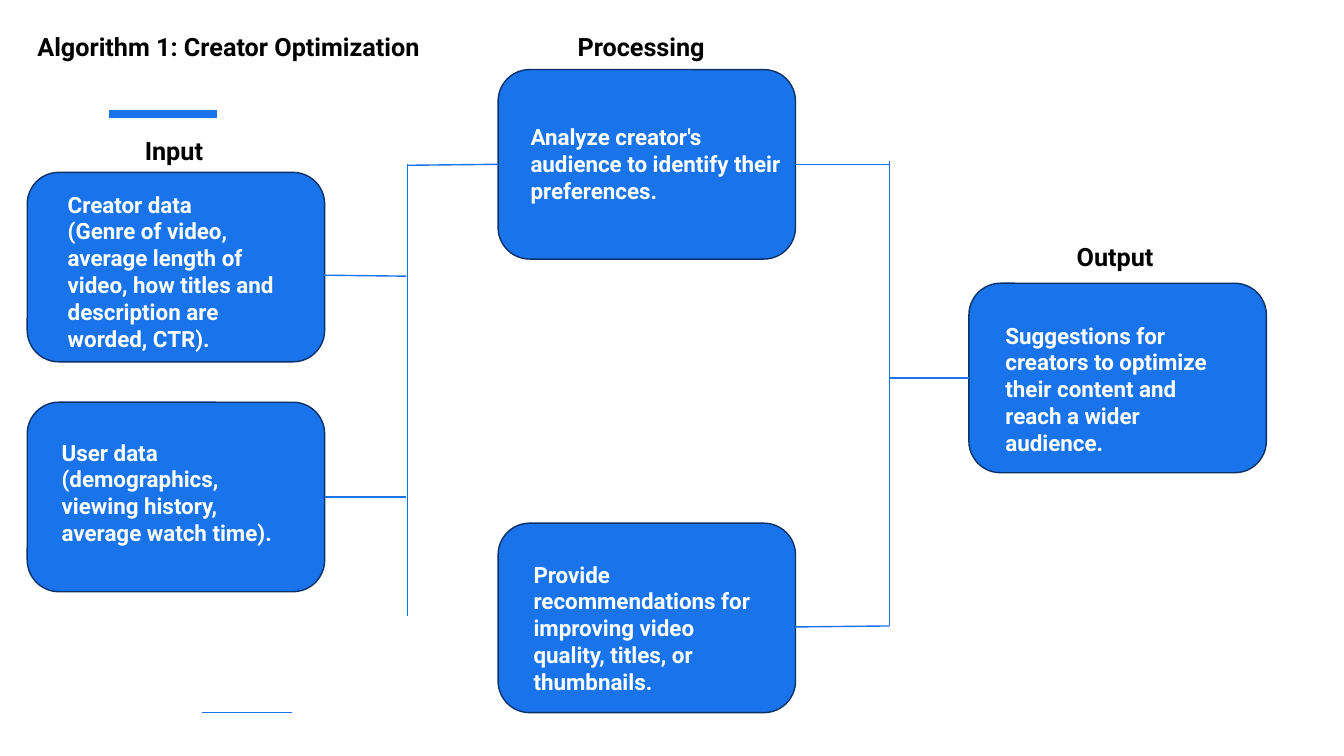
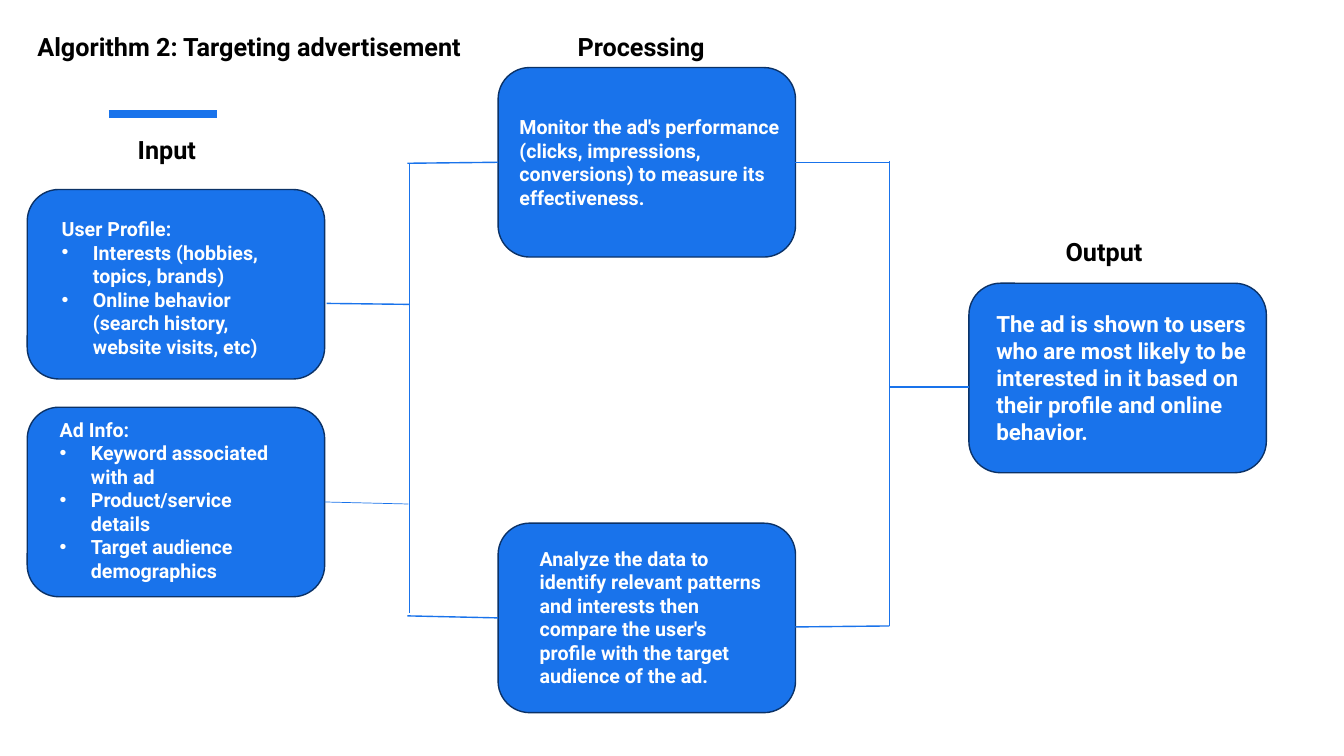
import pptx
import pptx.dml.color
import pptx.enum.shapes
import pptx.enum.text
import pptx.oxml.ns
import pptx.util
import lxml.etree

Inches, Pt = pptx.util.Inches, pptx.util.Pt
RGBColor = pptx.dml.color.RGBColor
ALIGN = pptx.enum.text.PP_ALIGN
TOP_SIDE, LEFT, BOTTOM, RIGHT = range(4)

# Shared colours and type
BLUE = RGBColor(0x19, 0x73, 0xEB)
NAVY = RGBColor(0x0B, 0x32, 0x67)
BLACK = RGBColor(0x00, 0x00, 0x00)
WHITE = RGBColor(0xFF, 0xFF, 0xFF)
HEAD = {"name": "Roboto", "size": Pt(18), "bold": True}

# Shared grid, in inches: three columns of cards with a rail in each gap
WIDE, HIGH = 13.33, 7.5
EDGE, PITCH = 0.27, 4.67
CARD_W, CARD_H = 2.95, 1.88
CORNER = 0.09  # text inset that the rounded corner already gives
RAIL = 8.82
LOW, OUT = 5.19, 2.81
BASE = 6.21


def col(num):
    return EDGE + PITCH * num


def mid(top):
    return top + CARD_H / 2


def apply(obj, form):
    for key, val in form.items():
        setattr(obj, key, val)


def bullet(para):
    """Hang a round bullet on a paragraph."""
    props = para._p.get_or_add_pPr()
    props.set("marL", str(Inches(0.31)))
    props.set("indent", str(-Inches(0.31)))
    for tag, key, val in (("a:buFont", "typeface", "Arial"),
                          ("a:buChar", "char", "•")):
        lxml.etree.SubElement(props, pptx.oxml.ns.qn(tag)).set(key, val)


def write(frame, lines, font, tint, align=ALIGN.LEFT):
    """Fill a text frame; a line that starts with a bullet becomes a list item."""
    apply(frame, {"word_wrap": True,
                  "vertical_anchor": pptx.enum.text.MSO_ANCHOR.TOP})
    for num, text in enumerate(lines):
        para = frame.add_paragraph() if num else frame.paragraphs[0]
        para.alignment = align
        if text.startswith("• "):
            bullet(para)
        run = para.add_run()
        run.text = text.removeprefix("• ")
        apply(run.font, font)
        run.font.color.rgb = tint


def title(slide, text):
    shape = slide.shapes.title
    apply(shape, {"left": Inches(EDGE), "top": Inches(0.26),
                  "width": Inches(5.35), "height": Inches(0.4)})
    write(shape.text_frame, [text], HEAD, BLACK)


def label(slide, text, left, top, width, align=ALIGN.LEFT):
    box = slide.shapes.add_textbox(*map(Inches, (left, top, width, 0.4)))
    write(box.text_frame, [text], HEAD, BLACK, align)


def card(slide, num, top, size, pad, lines):
    """Rounded card; pad is the left, top and right gap around its text."""
    shape = slide.shapes.add_shape(
        pptx.enum.shapes.MSO_SHAPE.ROUNDED_RECTANGLE,
        *map(Inches, (col(num), top, CARD_W, CARD_H)))
    shape.shadow.inherit = False
    shape.fill.solid()
    shape.fill.fore_color.rgb = BLUE
    shape.line.color.rgb = NAVY
    shape.line.width = Pt(1)
    sides = ("margin_left", "margin_top", "margin_right")
    apply(shape.text_frame, {side: Inches(gap - CORNER)
                             for side, gap in zip(sides, pad)})
    shape.text_frame.margin_bottom = 0
    write(shape.text_frame, lines, {**HEAD, "size": Pt(size)}, WHITE)
    return shape


def link(slide, cards, start, end, width=1):
    """Straight line; an end is a point, or a card's name and a side."""
    ends = [(0, 0) if isinstance(spot[0], str) else spot for spot in (start, end)]
    line = slide.shapes.add_connector(
        pptx.enum.shapes.MSO_CONNECTOR.STRAIGHT,
        *(Inches(num) for spot in ends for num in spot))
    for join, spot in ((line.begin_connect, start), (line.end_connect, end)):
        if isinstance(spot[0], str):
            join(cards[spot[0]], spot[1])
    line.line.color.rgb = BLUE
    line.line.width = Pt(width)
    lxml.etree.SubElement(line._element.spPr, pptx.oxml.ns.qn("a:effectLst"))


def flow(deck, plan):
    """One slide: input cards, processing cards and an output card."""
    slide = deck.slides.add_slide(deck.slide_layouts[5])
    title(slide, plan["title"])
    link(slide, {}, (1.08, 1.13), (2.15, 1.13), 6)
    cards = {name: card(slide, *form) for name, form in plan["cards"].items()}

    # Rail from processing to output, then the lines of this slide
    peak = mid(plan["cards"]["first"][1])
    shared = [
        (("first", RIGHT), (RAIL, peak)),
        ((RAIL, 1.6), (RAIL, BASE)),
        ((RAIL, BASE), (col(1) + CARD_W, 6.22)),
    ]
    for ends in shared + plan["links"]:
        link(slide, cards, *ends)

    # Column headings
    label(slide, "Input", *plan["input"], 2.35, ALIGN.CENTER)
    label(slide, "Processing", 5.63, 0.26, 1.57)
    label(slide, "Output", *plan["output"], 1.02)


CREATOR = {
    "title": "Algorithm 1: Creator Optimization",
    "input": (0.55, 1.29),
    "output": (10.58, 2.34),
    "cards": {
        "maker": (0, 1.71, 16, (0.4, 0.18, 0.31), [
            "Creator data",
            "(Genre of video, average length of video, how titles and "
            "description are worded, CTR)."]),
        "user": (0, 3.99, 16, (0.34, 0.36, 0.34), [
            "User data (demographics, viewing history, average watch time)."]),
        "first": (1, 0.69, 16, (0.32, 0.53, 0.1), [
            "Analyze creator's audience to identify their preferences."]),
        "next": (1, LOW, 16, (0.35, 0.37, 0.32), [
            "Provide recommendations for improving video quality, titles, "
            "or thumbnails."]),
        "result": (2, OUT, 16, (0.36, 0.38, 0.35), [
            "Suggestions for creators to optimize their content and reach "
            "a wider audience."]),
    },
    "links": [
        ((3.21, 2.73), (4.03, 2.74)),
        (("user", RIGHT), (4.03, 4.93)),
        ((4.04, 1.63), (4.04, 6.11)),
        ((4.04, 1.64), ("first", LEFT)),
        (("result", LEFT), (RAIL, 3.75)),
        ((2, 7.07), (2.9, 7.07)),
    ],
}

TARGET = {
    "title": "Algorithm 2: Targeting advertisement",
    "input": (0.48, 1.28),
    "output": (10.47, 2.3),
    "cards": {
        "user": (0, 1.88, 14, (0.34, 0.27, 0.34), [
            "User Profile:",
            "• Interests (hobbies, topics, brands)",
            "• Online behavior (search history, website visits, etc)"]),
        "ad": (0, 4.04, 14, (0.32, 0.1, 0.49), [
            "Ad Info:",
            "• Keyword associated with ad",
            "• Product/service details",
            "• Target audience demographics"]),
        "first": (1, 0.67, 14, (0.21, 0.47, 0.1), [
            "Monitor the ad's performance (clicks, impressions, conversions) "
            "to measure its effectiveness."]),
        "next": (1, LOW, 14, (0.41, 0.23, 0.29), [
            "Analyze the data to identify relevant patterns and interests "
            "then compare the user's profile with the target audience of "
            "the ad."]),
        "result": (2, OUT, 16, (0.27, 0.27, 0.1), [
            "The ad is shown to users who are most likely to be interested "
            "in it based on their profile and online behavior."]),
    },
    "links": [
        ((3.24, 3.01), (4.06, 3.02)),
        (("ad", RIGHT), (4.05, 5), 0.5),
        ((4.06, 1.63), (4.06, 6.08)),
        ((4.04, 1.62), ("first", LEFT)),
        ((4.04, 6.11), ("next", LEFT)),
        ((RAIL, 3.84), (col(2), 3.84)),
    ],
}


def main():
    deck = pptx.Presentation()
    apply(deck, {"slide_width": Inches(WIDE), "slide_height": Inches(HIGH)})
    for plan in (CREATOR, TARGET):
        flow(deck, plan)
    deck.save("out.pptx")


if __name__ == "__main__":
    main()
